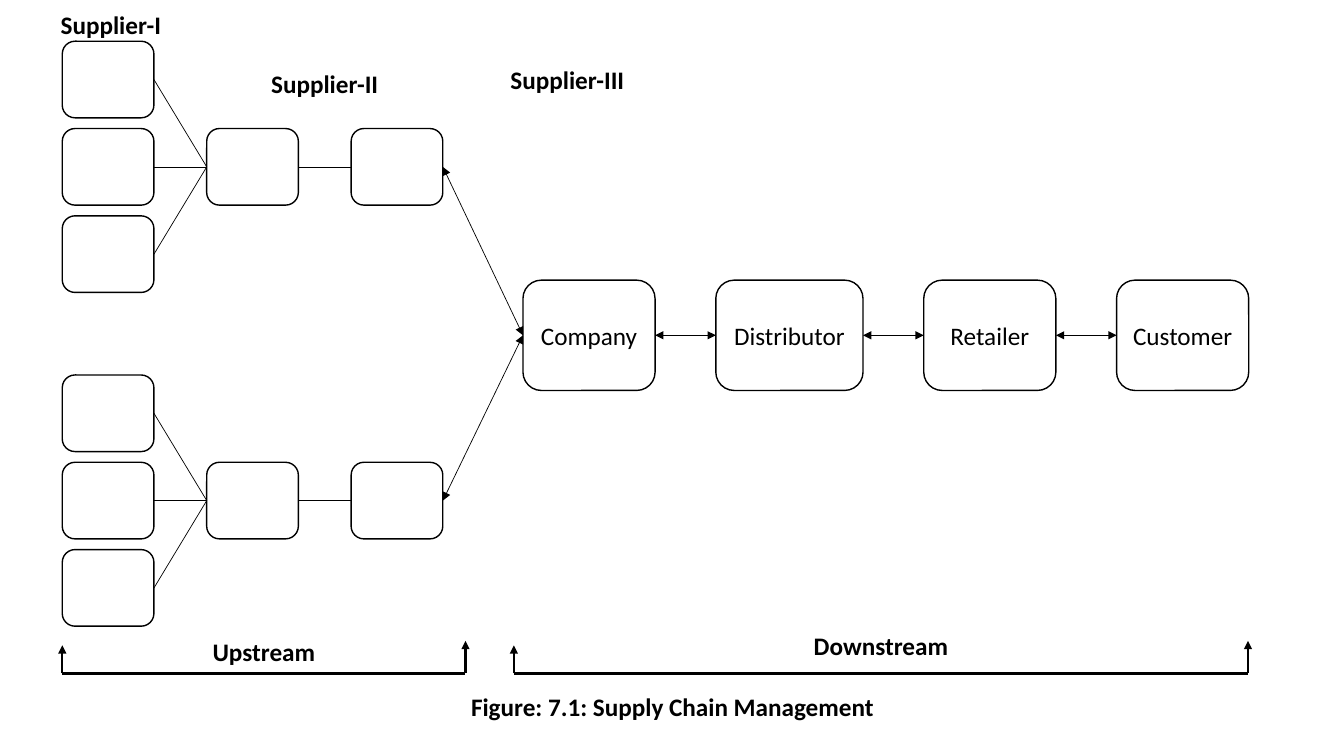
from dataclasses import dataclass
from itertools import pairwise

from lxml import etree
from pptx import Presentation
from pptx import util as u
from pptx.dml.color import RGBColor
from pptx.enum import shapes, text
from pptx.oxml import ns
from pptx.shapes.autoshape import Shape
from pptx.shapes.connector import Connector
from pptx.slide import Slide
from pptx.text.text import TextFrame

COLORS = {"ink": "000000", "paper": "FFFFFF"}
FONT = "Calibri"

SUPPLIER_LEFT, SUPPLIER_WIDTH, SUPPLIER_HEIGHT = 1.57, 2.31, 1.93
COLUMN_PITCH, ROW_PITCH = 3.64, 2.2
GROUP_TOPS = (1.04, 9.45)

STAGE_LEFT, STAGE_TOP, STAGE_HEIGHT, STAGE_GAP = 13.18, 7.06, 2.78, 1.53
BRACKET_BASE, BRACKET_LEFT_TIP, BRACKET_RIGHT_TIP = 16.97, 16.26, 16.15
LABEL_HEIGHT = 1.02
RIGHT_SITE, LEFT_SITE = 3, 1


@dataclass(frozen=True)
class Stage:
    name: str
    width: float


@dataclass(frozen=True)
class Label:
    wording: str
    left: float
    top: float
    width: float


@dataclass(frozen=True)
class Bracket:
    left: float
    right: float


STAGES = (
    Stage("Company", 3.33),
    Stage("Distributor", 3.71),
    Stage("Retailer", 3.33),
    Stage("Customer", 3.33),
)
BRACKETS = (Bracket(1.57, 11.73), Bracket(12.95, 31.45))
LABELS = (
    Label("Figure: 7.1: Supply Chain Management", 7.5, 17.29, 18.9),
    Label("Upstream", 1.57, 15.92, 10.16),
    Label("Downstream", 12.95, 15.75, 18.5),
    Label("Supplier-I", 1.26, 0.1, 3.07),
    Label("Supplier-II", 6.52, 1.6, 3.33),
    Label("Supplier-III", 12.5, 1.5, 3.6),
)


def color(name: str) -> RGBColor:
    return RGBColor.from_string(COLORS[name])


def write(frame: TextFrame, wording: str, bold: bool) -> None:
    frame.word_wrap = True
    paragraph = frame.paragraphs[0]
    paragraph.text = wording
    paragraph.alignment = text.PP_ALIGN.CENTER
    paragraph.font.name = FONT
    paragraph.font.size = u.Pt(18)
    paragraph.font.bold = bold
    paragraph.font.color.rgb = color("ink")


def add_box(slide: Slide, left: float, top: float, width: float, height: float) -> Shape:
    box = slide.shapes.add_shape(
        shapes.MSO_SHAPE.ROUNDED_RECTANGLE,
        u.Cm(left), u.Cm(top), u.Cm(width), u.Cm(height),
    )
    box.shadow.inherit = False
    box.fill.solid()
    box.fill.fore_color.rgb = color("paper")
    box.line.color.rgb = color("ink")
    box.line.width = u.Pt(1)
    return box


def add_supplier(slide: Slide, column: int, top: float) -> Shape:
    left = SUPPLIER_LEFT + column * COLUMN_PITCH
    return add_box(slide, left, top, SUPPLIER_WIDTH, SUPPLIER_HEIGHT)


def add_line(
    slide: Slide,
    start: tuple[float, float] = (0, 0),
    end: tuple[float, float] = (0, 0),
    weight: float = 0.5,
    arrowheads: tuple[str, ...] = (),
) -> Connector:
    line = slide.shapes.add_connector(
        shapes.MSO_CONNECTOR.STRAIGHT, *map(u.Cm, start + end)
    )
    line.line.color.rgb = color("ink")
    line.line.width = u.Pt(weight)
    properties = line._element.spPr
    outline = properties.find(ns.qn("a:ln"))
    for arrowhead in arrowheads:
        etree.SubElement(outline, ns.qn(f"a:{arrowhead}"), type="triangle")
    etree.SubElement(properties, ns.qn("a:effectLst"))
    return line


def link(slide: Slide, source: Shape, target: Shape, two_way: bool = False) -> None:
    line = add_line(slide, arrowheads=("headEnd", "tailEnd") if two_way else ())
    line.begin_connect(source, RIGHT_SITE)
    line.end_connect(target, LEFT_SITE)


def add_supplier_group(slide: Slide, top: float) -> Shape:
    middle = top + ROW_PITCH
    first_tier = [add_supplier(slide, 0, top + row * ROW_PITCH) for row in range(3)]
    second_tier = add_supplier(slide, 1, middle)
    third_tier = add_supplier(slide, 2, middle)
    for supplier in first_tier:
        link(slide, supplier, second_tier)
    link(slide, second_tier, third_tier)
    return third_tier


def add_stages(slide: Slide) -> list[Shape]:
    boxes = []
    left = STAGE_LEFT
    for stage in STAGES:
        box = add_box(slide, left, STAGE_TOP, stage.width, STAGE_HEIGHT)
        box.text_frame.vertical_anchor = text.MSO_ANCHOR.MIDDLE
        write(box.text_frame, stage.name, bold=False)
        boxes.append(box)
        left += stage.width + STAGE_GAP
    for source, target in pairwise(boxes):
        link(slide, source, target, two_way=True)
    return boxes


def add_bracket(slide: Slide, bracket: Bracket) -> None:
    add_line(slide, (bracket.left, BRACKET_BASE), (bracket.right, BRACKET_BASE), 1.5)
    for side, tip in (
        (bracket.left, BRACKET_LEFT_TIP),
        (bracket.right, BRACKET_RIGHT_TIP),
    ):
        add_line(slide, (side, BRACKET_BASE), (side, tip), 1.5, ("tailEnd",))


def add_label(slide: Slide, label: Label) -> None:
    box = slide.shapes.add_textbox(
        u.Cm(label.left), u.Cm(label.top), u.Cm(label.width), u.Cm(LABEL_HEIGHT)
    )
    box.text_frame.auto_size = text.MSO_AUTO_SIZE.SHAPE_TO_FIT_TEXT
    write(box.text_frame, label.wording, bold=True)


def main() -> None:
    presentation = Presentation()
    presentation.slide_width = u.Cm(33.87)
    presentation.slide_height = u.Cm(19.05)
    slide = presentation.slides.add_slide(presentation.slide_layouts[6])

    last_suppliers = [add_supplier_group(slide, top) for top in GROUP_TOPS]
    company = add_stages(slide)[0]
    for supplier in last_suppliers:
        link(slide, supplier, company, two_way=True)
    for bracket in BRACKETS:
        add_bracket(slide, bracket)
    for label in LABELS:
        add_label(slide, label)

    presentation.save("out.pptx")


if __name__ == "__main__":
    main()
